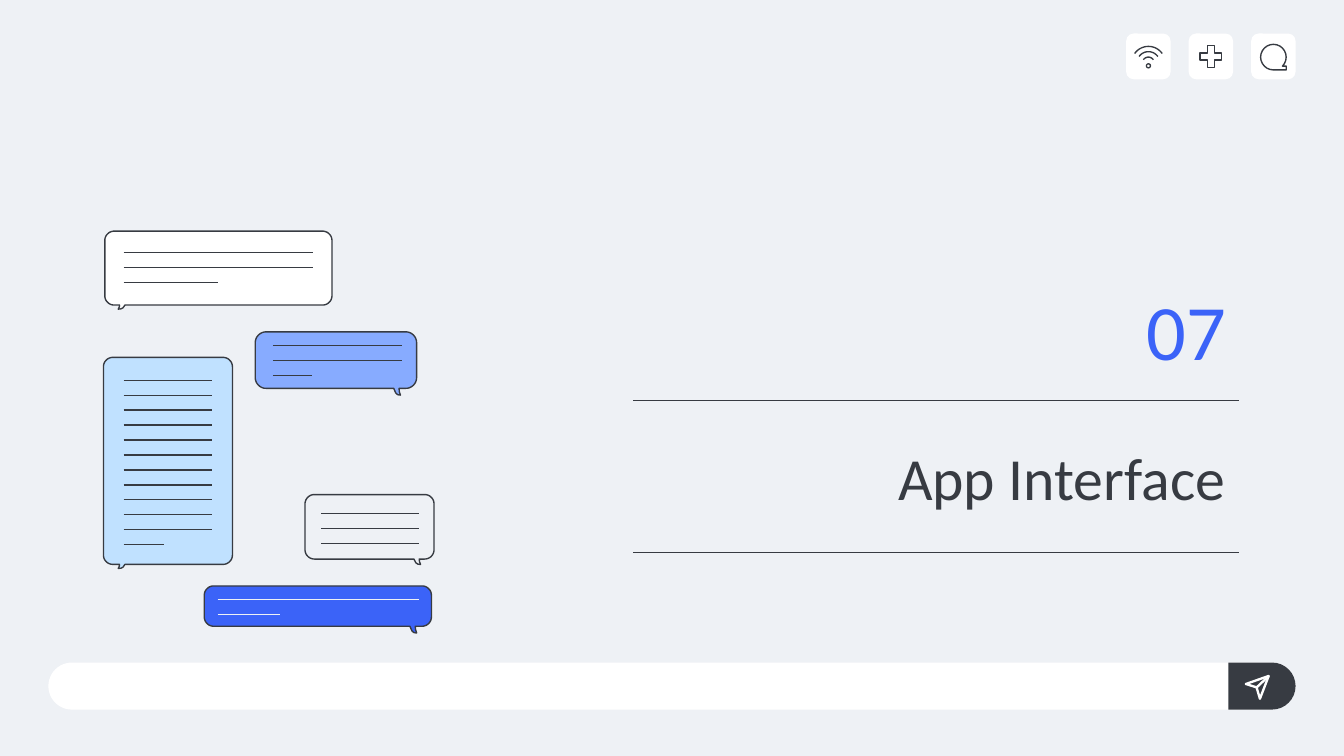
from math import cos, radians, sin

from lxml.etree import SubElement
from pptx import Presentation
from pptx.dml.color import RGBColor
from pptx.enum.shapes import MSO_CONNECTOR, MSO_SHAPE
from pptx.enum.text import MSO_ANCHOR, MSO_AUTO_SIZE, PP_ALIGN
from pptx.oxml.ns import qn
from pptx.util import Inches, Pt

COLORS = {
    "back": "EEF1F5",
    "dark": "373B42",
    "white": "FFFFFF",
    "blue": "3B63F8",
    "mid": "87ABFF",
    "pale": "C0E1FF",
}
PITCH = 1 / 9

BUBBLES = [
    dict(box=(0.78, 1.72, 1.69, 0.55), fill="white", r=0.07, tail=("left", 0.1, 0.03),
         text=(0.14, 0.16, 1.41, 0.7, 3)),
    dict(box=(0.77, 2.66, 0.96, 1.54), fill="pale", r=0.07, tail=("left", 0.11, 0.03),
         text=(0.15, 0.17, 0.66, 0.3, 12)),
    dict(box=(1.52, 4.36, 1.69, 0.3), fill="blue", r=0.07, tail=("right", 0.11, 0.05),
         text=(0.1, 0.1, 1.5, 0.46, 2), ink="back"),
    dict(box=(2.27, 3.68, 0.96, 0.48), fill="back", r=0.07, tail=("right", 0.1, 0.04),
         text=(0.12, 0.14, 0.73, 0.73, 3)),
    dict(box=(1.9, 2.47, 1.2, 0.42), fill="mid", r=0.08, tail=("right", 0.12, 0.05),
         text=(0.13, 0.1, 0.96, 0.29, 3)),
]


def rgb(name):
    return RGBColor.from_string(COLORS[name])


def style(sp, fill=None, line=None, weight=0.75):
    sp.shadow.inherit = False
    if fill:
        sp.fill.solid()
        sp.fill.fore_color.rgb = rgb(fill)
    else:
        sp.fill.background()
    if line:
        sp.line.color.rgb = rgb(line)
        sp.line.width = Pt(weight)
    else:
        sp.line.fill.background()
    return sp


def add_shape(s, kind, box, adj=None, **fmt):
    sp = s.shapes.add_shape(kind, *map(Inches, box))
    if adj is not None:
        sp.adjustments[0] = adj
    return style(sp, **fmt)


def add_outline(s, points, **fmt):
    pts = [(Inches(x), Inches(y)) for x, y in points]
    builder = s.shapes.build_freeform(*pts[0])
    builder.add_line_segments(pts[1:], close=True)
    return style(builder.convert_to_shape(), **fmt)


def add_line(s, x1, y1, x2, y2, color="dark", weight=0.75):
    c = s.shapes.add_connector(MSO_CONNECTOR.STRAIGHT, *map(Inches, (x1, y1, x2, y2)))
    c.line.color.rgb = rgb(color)
    c.line.width = Pt(weight)
    SubElement(c._element.spPr, qn("a:effectLst"))


def arc(cx, cy, r, start, end, steps=16):
    angles = [radians(start + (end - start) * i / steps) for i in range(steps + 1)]
    return [(cx + r * cos(a), cy + r * sin(a)) for a in angles]


def set_text(sp, text, box, anchor, size, color):
    sp.left, sp.top, sp.width, sp.height = map(Inches, box)
    tf = sp.text_frame
    frame = dict(word_wrap=True, auto_size=MSO_AUTO_SIZE.NONE, vertical_anchor=anchor)
    frame.update({f"margin_{side}": Inches(0.1) for side in ("left", "top", "right", "bottom")})
    for name, value in frame.items():
        setattr(tf, name, value)
    p = tf.paragraphs[0]
    p.alignment = PP_ALIGN.RIGHT
    r = p.add_run()
    r.text = text
    for name, value in dict(name="Calibri", size=Pt(size), bold=False).items():
        setattr(r.font, name, value)
    r.font.color.rgb = rgb(color)


def add_wifi(s, x, y):
    cx, cy = x + 0.165, y + 0.22
    for r in (0.13, 0.09, 0.05):
        band = arc(cx, cy, r, -145, -35) + arc(cx, cy, r - 0.01, -35, -145)
        add_outline(s, band, fill="dark")
    add_shape(s, MSO_SHAPE.DONUT, (cx - 0.02, y + 0.22, 0.04, 0.04), fill="dark")


def add_icons(s, x, y):
    step = 0.465
    for i in range(3):
        add_shape(s, MSO_SHAPE.ROUNDED_RECTANGLE, (x + i * step, y, 0.33, 0.34), 0.167, fill="white")
    add_wifi(s, x, y)
    add_shape(s, MSO_SHAPE.MATH_PLUS, (x + step + 0.055, y + 0.06, 0.22, 0.22), 0.235, line="dark")
    add_shape(s, MSO_SHAPE.FLOWCHART_SEQUENTIAL_ACCESS_STORAGE,
              (x + 2 * step + 0.07, y + 0.08, 0.19, 0.19), line="dark")


def add_message_bar(s, x, y, w, h):
    add_shape(s, MSO_SHAPE.ROUNDED_RECTANGLE, (x, y, w, h), 0.5, fill="white")
    right, r = x + w, h / 2
    left = right - 0.5
    button = [(left, y), *arc(right - r, y + r, r, -90, 90), (left, y + h)]
    add_outline(s, button, fill="dark")
    tip, fold = (left + 0.3, y + 0.1), (left + 0.21, y + 0.185)
    plane = [(left + 0.13, y + 0.16), tip, (left + 0.235, y + 0.27), fold]
    add_outline(s, plane, line="white", weight=1.25)
    add_line(s, *fold, *tip, color="white", weight=1.25)


def add_bubble(s, box, fill, r, tail, text, ink="dark"):
    x, y, w, h = box
    side, near, depth = tail
    points = (
        arc(r, r, r, 180, 270)
        + arc(w - r, r, r, 270, 360)
        + arc(w - r, h - r, r, 0, 90)
        + [(near + 0.05, h), (near + 0.035, h + depth * 0.7), (near + 0.02, h + depth * 0.95),
           (near, h + depth), (near + 0.008, h + depth * 0.5), (near + 0.01, h)]
        + arc(r, h - r, r, 90, 180)
    )
    outline = [(x + (px if side == "left" else w - px), y + py) for px, py in points]
    add_outline(s, outline, fill=fill, line="dark")
    dx, dy, full, last, count = text
    for i in range(count):
        length = last if i == count - 1 else full
        row = y + dy + i * PITCH
        add_line(s, x + dx, row, x + dx + length, row, ink)


def add_heading(s, x, y, w, h):
    set_text(s.shapes.title, "App Interface", (x, y, w, h), MSO_ANCHOR.MIDDLE, 32, "dark")
    number = s.shapes.add_textbox(0, 0, 0, 0)
    set_text(number, "07", (x + w - 1.35, y - 1, 1.35, 0.92), MSO_ANCHOR.BOTTOM, 42, "blue")
    for row in (y, y + h):
        add_line(s, x + w - 4.51, row, x + w, row)


def main():
    prs = Presentation()
    prs.slide_width = Inches(10)
    prs.slide_height = prs.slide_width * 9 // 16
    s = prs.slides.add_slide(prs.slide_layouts[5])
    s.background.fill.solid()
    s.background.fill.fore_color.rgb = rgb("back")
    add_icons(s, 8.38, 0.25)
    add_message_bar(s, 0.36, 4.93, 9.28, 0.35)
    add_heading(s, 3.45, 2.98, 5.77, 1.13)
    for bubble in BUBBLES:
        add_bubble(s, **bubble)
    prs.save("out.pptx")


if __name__ == "__main__":
    main()
